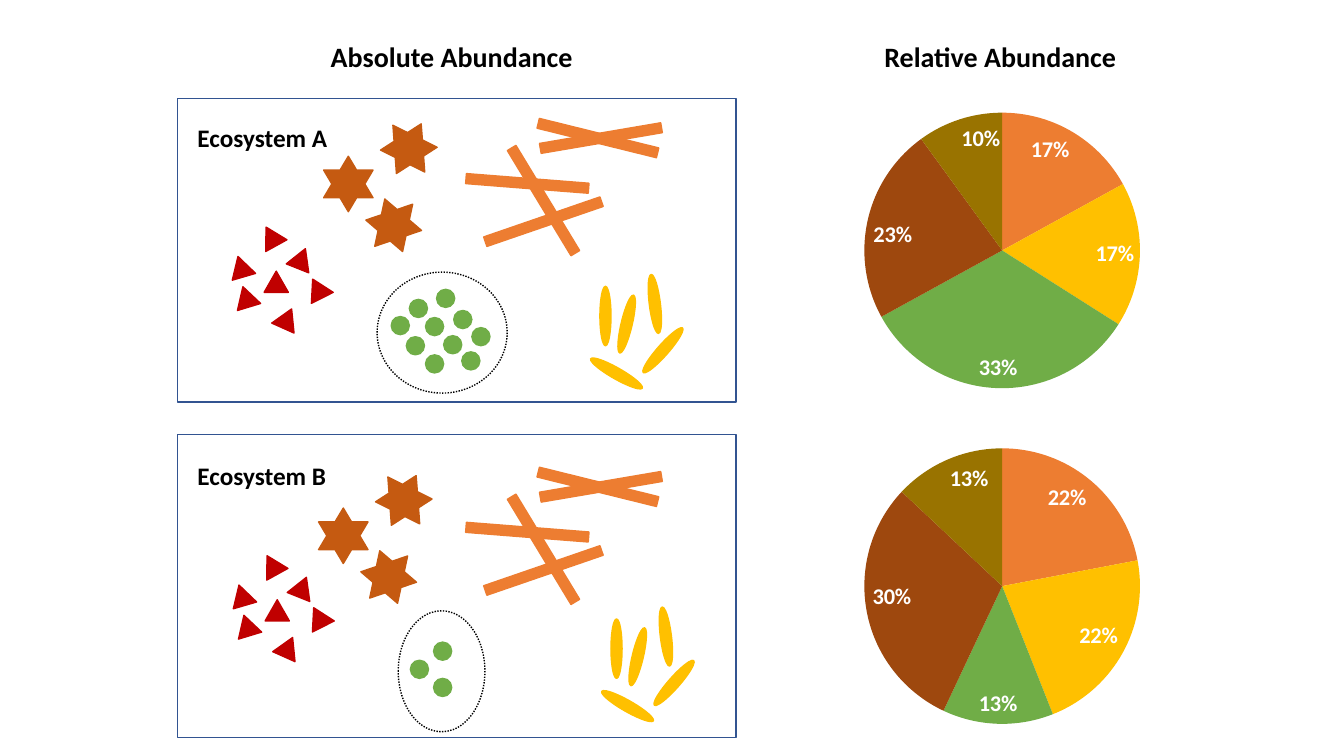
from typing import NamedTuple

from pptx import Presentation
from pptx.chart.data import CategoryChartData
from pptx.dml.color import RGBColor
from pptx.enum.chart import XL_CHART_TYPE as ChartType, XL_LABEL_POSITION as LabelPosition
from pptx.enum.dml import MSO_LINE as Dash
from pptx.enum.shapes import MSO_SHAPE as Preset
from pptx.enum.text import MSO_ANCHOR as Anchor, MSO_AUTO_SIZE as AutoSize
from pptx.util import Inches, Pt

FONT = "Calibri"
BLACK = RGBColor(0x00, 0x00, 0x00)
WHITE = RGBColor(0xFF, 0xFF, 0xFF)
FRAME_BLUE = RGBColor(0x32, 0x54, 0x91)
ORANGE = RGBColor(0xED, 0x7D, 0x31)
YELLOW = RGBColor(0xFF, 0xC0, 0x00)
GREEN = RGBColor(0x70, 0xAD, 0x47)
RED = RGBColor(0xC0, 0x00, 0x00)
RUST = RGBColor(0xC5, 0x5A, 0x11)
BROWN = RGBColor(0x9E, 0x48, 0x0E)
OLIVE = RGBColor(0x99, 0x73, 0x00)
SLICE_COLORS = (ORANGE, YELLOW, GREEN, BROWN, OLIVE)


class Place(NamedTuple):
    x: float
    y: float
    turn: float = 0


class Species(NamedTuple):
    preset: Preset
    width: float
    height: float
    color: RGBColor


class Colony(NamedTuple):
    """Members of one species, shifted together by dx and dy."""
    species: Species
    members: tuple[Place, ...]
    dx: float = 0
    dy: float = 0


class Ecosystem(NamedTuple):
    label: str
    label_top: float
    top: float
    colonies: tuple[Colony, ...]
    halo: tuple[float, float, float, float]
    shares: tuple[int, ...]


# Species and how their members are scattered
STICK = Species(Preset.RECTANGLE, 1.22, 0.1, ORANGE)
DOT = Species(Preset.OVAL, 0.18, 0.18, GREEN)
ROD = Species(Preset.OVAL, 0.11, 0.59, YELLOW)
TRIANGLE = Species(Preset.ISOSCELES_TRIANGLE, 0.24, 0.21, RED)
STAR = Species(Preset.STAR_6_POINT, 0.49, 0.55, RUST)

STICKS = (Place(5.32, 1.32, 13.9), Place(5.35, 1.32, 350.3), Place(4.62, 1.77, 4.5),
          Place(4.78, 2.15, 341), Place(4.78, 1.94, 58.8))
RODS = (Place(5.95, 2.84), Place(6.16, 2.92, 13.3), Place(6.44, 2.72, 352.9),
        Place(6.06, 3.41, 299.7), Place(6.52, 3.18, 41.4))
TRIANGLES = (Place(2.27, 2.54, 343.7), Place(2.57, 2.24, 331.1), Place(2.62, 2.69),
             Place(2.87, 2.46, 21.8), Place(2.32, 2.84, 343.1), Place(3.08, 2.79, 93),
             Place(2.68, 3.09, 264.3))
STARS = (Place(3.21, 1.55), Place(3.66, 1.96, 341.3), Place(3.81, 1.2, 26.5))
MANY_DOTS = (Place(4.06, 2.97), Place(4.33, 2.87), Place(3.88, 3.14), Place(4.22, 3.15),
             Place(4.03, 3.34), Place(4.5, 3.08), Place(4.4, 3.33), Place(4.22, 3.52),
             Place(4.68, 3.25), Place(4.58, 3.49))
FEW_DOTS = (Place(4.3, 6.37), Place(4.07, 6.55), Place(4.3, 6.73))

ECOSYSTEMS = (
    Ecosystem("Ecosystem A", 1.16, 0.98,
              (Colony(STICK, STICKS), Colony(DOT, MANY_DOTS), Colony(ROD, RODS),
               Colony(TRIANGLE, TRIANGLES), Colony(STAR, STARS)),
              (3.74, 2.7, 1.29, 1.2), (17, 17, 33, 23, 10)),
    Ecosystem("Ecosystem B", 4.52, 4.31,
              (Colony(DOT, FEW_DOTS), Colony(ROD, RODS, 0.11, 3.3),
               Colony(TRIANGLE, TRIANGLES, 0.01, 3.26), Colony(STAR, STARS, -0.05, 3.49),
               Colony(STICK, STICKS, 0, 3.46)),
              (3.95, 6.06, 0.86, 1.2), (22, 22, 13, 30, 13)),
)
PANEL_LEFT, PANEL_WIDTH, PANEL_HEIGHT = 1.76, 5.54, 3.01
PIE_LEFT, PIE_WIDTH = 7.3, 5.28


def draw_shape(group, preset: Preset, box: tuple, line_color: RGBColor, fill_color=None):
    shape = group.shapes.add_shape(preset, *map(Inches, box))
    shape.shadow.inherit = False
    if fill_color is None:
        shape.fill.background()
    else:
        shape.fill.solid()
        shape.fill.fore_color.rgb = fill_color
    shape.line.color.rgb = line_color
    shape.line.width = Pt(1)
    return shape


def draw_colony(group, colony: Colony) -> None:
    species = colony.species
    for place in colony.members:
        box = (place.x + colony.dx, place.y + colony.dy, species.width, species.height)
        member = draw_shape(group, species.preset, box, species.color, species.color)
        member.rotation = place.turn


def draw_panel(slide, ecosystem: Ecosystem) -> None:
    group = slide.shapes.add_group_shape()
    frame = (PANEL_LEFT, ecosystem.top, PANEL_WIDTH, PANEL_HEIGHT)
    draw_shape(group, Preset.RECTANGLE, frame, FRAME_BLUE)
    for colony in ecosystem.colonies:
        draw_colony(group, colony)
    halo = draw_shape(group, Preset.OVAL, ecosystem.halo, BLACK)
    halo.line.dash_style = Dash.ROUND_DOT


def draw_pie(slide, ecosystem: Ecosystem) -> None:
    data = CategoryChartData()
    data.categories = [str(number) for number in range(1, len(ecosystem.shares) + 1)]
    data.add_series("Series 1", ecosystem.shares)
    box = (PIE_LEFT, ecosystem.top, PIE_WIDTH, PANEL_HEIGHT)
    pie = slide.shapes.add_chart(ChartType.PIE, *map(Inches, box), data).chart
    pie.has_title = pie.has_legend = False
    pie.font.name, pie.font.size, pie.font.color.rgb = FONT, Pt(10), BLACK
    plot = pie.plots[0]
    plot.vary_by_categories = True
    for index, color in enumerate(SLICE_COLORS):
        slice_fill = plot.series[0].points[index].format.fill
        slice_fill.solid()
        slice_fill.fore_color.rgb = color
    labels = plot.series[0].data_labels
    labels.show_percentage, labels.show_value = True, False
    labels.number_format, labels.number_format_is_linked = "0%", False
    labels.position = LabelPosition.INSIDE_END
    style_font(labels.font, 16, WHITE)


def style_font(font, size: float, color: RGBColor) -> None:
    font.name, font.size, font.bold = FONT, Pt(size), True
    font.color.rgb = color


def write(holder, text: str, size: float, box: tuple) -> None:
    holder.left, holder.top, holder.width, holder.height = map(Inches, box)
    frame = holder.text_frame
    frame.text = text
    frame.word_wrap = False
    frame.auto_size = AutoSize.SHAPE_TO_FIT_TEXT
    frame.vertical_anchor = Anchor.TOP
    paragraph = frame.paragraphs[0]
    paragraph.space_before = Pt(0)
    style_font(paragraph.font, size, BLACK)


presentation = Presentation()
presentation.slide_width, presentation.slide_height = Inches(13.33), Inches(7.5)
comparison_layout = presentation.slide_layouts[4]
slide = presentation.slides.add_slide(comparison_layout)

# Column headings, in the two heading placeholders of the comparison layout
headings = {1: ("Absolute Abundance", (3.18, 0.34, 2.7, 0.44)),
            3: ("Relative Abundance", (8.67, 0.34, 2.7, 0.44))}
for placeholder in list(slide.placeholders):
    index = placeholder.placeholder_format.idx
    if index in headings:
        heading, heading_box = headings[index]
        write(placeholder, heading, 20, heading_box)
    else:
        placeholder.element.getparent().remove(placeholder.element)

# One row per ecosystem: panel of organisms, its label, pie of shares
for ecosystem in ECOSYSTEMS:
    draw_panel(slide, ecosystem)
    draw_pie(slide, ecosystem)
    label_box = (1.86, ecosystem.label_top, 1.55, 0.41)
    write(slide.shapes.add_textbox(0, 0, 0, 0), ecosystem.label, 18, label_box)

presentation.save("out.pptx")
